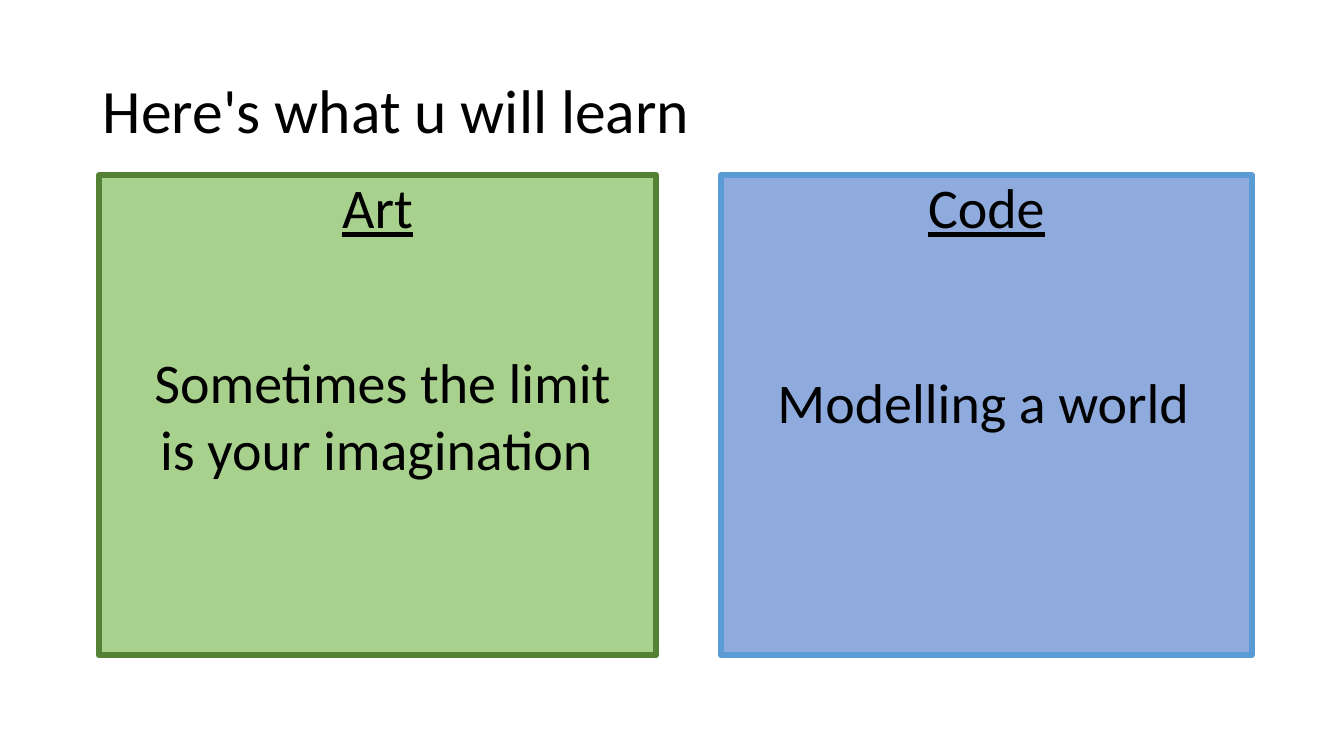
from pptx import Presentation
from pptx import util as u
from pptx.dml.color import RGBColor
from pptx.enum import text
from pptx.oxml.ns import qn

PX = u.Inches(1) // 100

BLACK = RGBColor(0x00, 0x00, 0x00)
ART_FILL = RGBColor(0xA9, 0xD1, 0x8E)
ART_LINE = RGBColor(0x54, 0x82, 0x35)
CODE_FILL = RGBColor(0x8F, 0xAA, 0xDC)
CODE_LINE = RGBColor(0x5B, 0x9B, 0xD5)

TITLE_FONT = {"name": "Calibri", "size": u.Pt(44), "underline": False}
HEADING_FONT = {"name": "Calibri", "size": u.Pt(40), "underline": True}
BODY_FONT = {"name": "Calibri", "size": u.Pt(40), "underline": False}


def set_all(target, values):
    for key, value in values.items():
        setattr(target, key, value)


def place(part, box):
    sides = ("left", "top", "width", "height")
    set_all(part, {side: length * PX for side, length in zip(sides, box)})


def write(part, wording, font, frame_format, paragraph_format):
    frame = part.text_frame
    set_all(frame, {"word_wrap": True, **frame_format})
    paragraph = frame.paragraphs[0]
    set_all(paragraph, {"space_before": u.Pt(0), **paragraph_format})
    run = paragraph.add_run()
    run.text = wording
    set_all(run.font, font)
    run.font.color.rgb = BLACK
    return paragraph


def fill_title(title, wording, box):
    place(title, box)
    write(title, wording, TITLE_FONT,
          {"vertical_anchor": text.MSO_ANCHOR.MIDDLE,
           "auto_size": text.MSO_AUTO_SIZE.NONE},
          {"alignment": text.PP_ALIGN.LEFT, "line_spacing": 0.9})


def fill_panel(panel, heading, box, fill, line):
    place(panel, box)
    panel.fill.solid()
    panel.fill.fore_color.rgb = fill
    panel.line.color.rgb = line
    panel.line.width = u.Pt(4.25)
    paragraph = write(panel, heading, HEADING_FONT,
                      {"vertical_anchor": text.MSO_ANCHOR.TOP,
                       "auto_size": text.MSO_AUTO_SIZE.NONE},
                      {"alignment": text.PP_ALIGN.CENTER, "line_spacing": 0.9})
    properties = paragraph._p.get_or_add_pPr()
    properties.set("marL", "0")
    properties.set("indent", "0")
    properties.append(properties.makeelement(qn("a:buNone"), {}))


def add_caption(slide, wording, box):
    caption = slide.shapes.add_textbox(0, 0, 0, 0)
    place(caption, box)
    write(caption, wording, BODY_FONT,
          {"auto_size": text.MSO_AUTO_SIZE.SHAPE_TO_FIT_TEXT},
          {"alignment": text.PP_ALIGN.CENTER})


def main():
    deck = Presentation()
    deck.slide_width = u.Inches(13.333)
    deck.slide_height = u.Inches(7.5)
    slide = deck.slides.add_slide(deck.slide_layouts.get_by_name("Two Content"))
    title, art, code = slide.placeholders

    fill_title(title, "Here's what u will learn", (92, 40, 1150, 145))
    fill_panel(art, "Art", (98, 174, 553, 476), ART_FILL, ART_LINE)
    fill_panel(code, "Code", (715, 174, 527, 476), CODE_FILL, CODE_LINE)
    add_caption(slide, "Sometimes the limit is your imagination ", (140, 340, 479, 145))
    add_caption(slide, "Modelling a world", (757, 360, 437, 77))
    deck.save("out.pptx")


if __name__ == "__main__":
    main()
